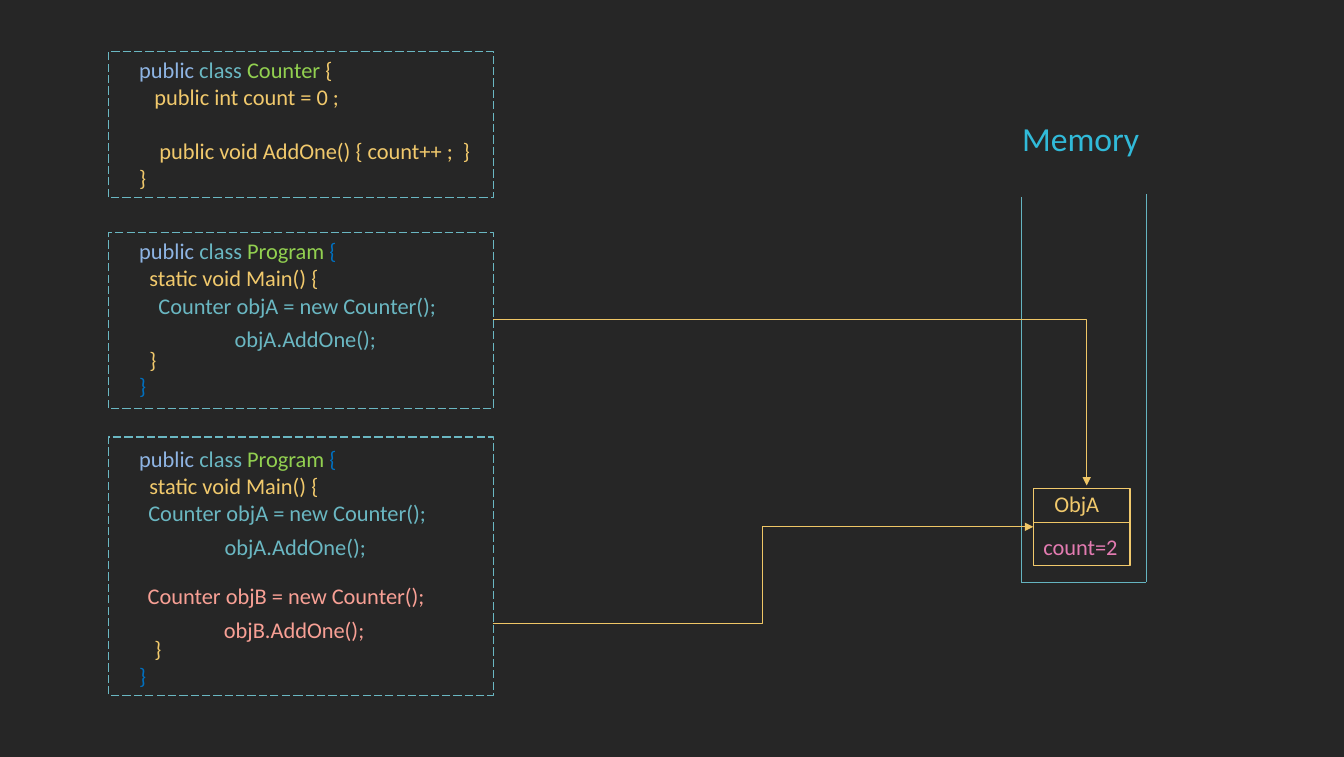
from dataclasses import dataclass

from lxml.etree import SubElement
from pptx import Presentation
from pptx.dml.color import RGBColor
from pptx.enum.dml import MSO_LINE_DASH_STYLE as Dash
from pptx.enum.shapes import MSO_CONNECTOR as Connector, MSO_SHAPE as Shape
from pptx.oxml.ns import qn
from pptx.util import Pt

BACKGROUND = "262626"
BLUE, TEAL, GREEN = "8EB4E3", "6AB7C2", "92D050"
YELLOW, GOLD, NAVY = "F1C96C", "EFC666", "0070C0"
SALMON, PINK, CYAN, MEMORY_EDGE = "F8A095", "E37BB1", "31BAD9", "65B4C0"
FONT = "Calibri"
CODE_SIZE = 16
CODE_LINE = 19.5
INSET = 3.6


@dataclass(frozen=True)
class Span:
    text: str
    color: str


@dataclass(frozen=True)
class Line:
    spans: tuple[Span, ...]
    skipped: int = 0


@dataclass(frozen=True)
class Label:
    left: float
    top: float
    width: float
    height: float
    lines: tuple[Line, ...]
    size: float = CODE_SIZE


@dataclass(frozen=True)
class Frame:
    left: float
    top: float
    width: float
    height: float
    color: str
    dashed: bool = False


@dataclass(frozen=True)
class Edge:
    start: tuple[float, float]
    end: tuple[float, float]
    color: str


def rgb(color: str) -> RGBColor:
    return RGBColor.from_string(color)


def code(text: str, color: str, skipped: int = 0) -> Line:
    return Line((Span(text, color),), skipped)


def class_header(name: str, brace: str) -> Line:
    return Line((Span("public ", BLUE), Span("class ", TEAL),
                 Span(f"{name} ", GREEN), Span("{", brace)))


def program(top: float, height: float, closing: str, skipped: int) -> Label:
    return Label(95.76, top, 242, height, (
        class_header("Program", NAVY),
        code("  static void Main() {", YELLOW),
        code(closing, YELLOW, skipped),
        code("}", NAVY),
    ))


def object_calls(name: str, left: float, top: float, color: str) -> tuple[Label, Label]:
    return (
        Label(left, top, 212, 24,
              (code(f" Counter {name} = new Counter();", color),)),
        Label(left + 58, top + 24, 112, 24, (code(f"{name}.AddOne();", color),)),
    )


def style_outline(line, color: str) -> None:
    line.color.rgb = rgb(color)
    line.width = Pt(0.75)


def draw_label(page, label: Label) -> None:
    box = page.shapes.add_textbox(Pt(label.left), Pt(label.top),
                                  Pt(label.width), Pt(label.height))
    frame = box.text_frame
    frame.word_wrap = True
    frame.margin_left = frame.margin_right = Pt(INSET)
    frame.margin_top = frame.margin_bottom = Pt(INSET)
    for index, line in enumerate(label.lines):
        para = frame.add_paragraph() if index else frame.paragraphs[0]
        if line.skipped:
            para.space_before = Pt(line.skipped * CODE_LINE)
        for piece in line.spans:
            span = para.add_run()
            span.text = piece.text
            span.font.name = FONT
            span.font.size = Pt(label.size)
            span.font.color.rgb = rgb(piece.color)


def draw_frame(page, frame: Frame) -> None:
    box = page.shapes.add_shape(Shape.RECTANGLE, Pt(frame.left), Pt(frame.top),
                                Pt(frame.width), Pt(frame.height))
    box.shadow.inherit = False
    box.fill.background()
    style_outline(box.line, frame.color)
    if frame.dashed:
        box.line.dash_style = Dash.LONG_DASH


def draw_edge(page, edge: Edge) -> None:
    connector = page.shapes.add_connector(
        Connector.STRAIGHT, *(Pt(value) for value in edge.start + edge.end))
    style_outline(connector.line, edge.color)
    SubElement(connector._element.spPr, qn("a:effectLst"))


def draw_arrow(page, points: list[tuple[float, float]]) -> None:
    start, *rest = [(Pt(x), Pt(y)) for x, y in points]
    builder = page.shapes.build_freeform(*start)
    builder.add_line_segments(rest, close=False)
    arrow = builder.convert_to_shape()
    arrow.shadow.inherit = False
    arrow.fill.background()
    style_outline(arrow.line, GOLD)
    SubElement(arrow.line._get_or_add_ln(), qn("a:tailEnd"), type="triangle")


FRAMES = [
    Frame(737.28, 348.48, 69.12, 54.72, YELLOW),
    *(Frame(77.76, top, 274.32, height, TEAL, dashed=True)
      for top, height in ((36.72, 104.4), (165.6, 126), (311.76, 184.32))),
]

MEMORY_LEFT, MEMORY_RIGHT, MEMORY_BOTTOM = 728.64, 817.92, 415.44
EDGES = [
    Edge((737.28, 372.96), (806.4, 372.96), GOLD),
    Edge((MEMORY_RIGHT, 138.24), (MEMORY_RIGHT, MEMORY_BOTTOM), MEMORY_EDGE),
    Edge((MEMORY_LEFT, 140.4), (MEMORY_LEFT, MEMORY_BOTTOM), MEMORY_EDGE),
    Edge((MEMORY_LEFT, MEMORY_BOTTOM), (MEMORY_RIGHT, MEMORY_BOTTOM), MEMORY_EDGE),
]

LABELS = [
    Label(95.76, 36.72, 246, 103.68, (
        class_header("Counter", YELLOW),
        code("   public int count = 0 ;", YELLOW),
        code("    public void AddOne() { count++ ;  }", YELLOW, skipped=1),
        code("}", YELLOW),
    )),
    program(165.6, 123.84, "  }", skipped=2),
    program(313.92, 183.6, "   }", skipped=5),
    *object_calls("objA", 105.84, 204.48, TEAL),
    *object_calls("objA", 98.64, 352.8, TEAL),
    *object_calls("objB", 98.2, 411.6, SALMON),
    Label(725.76, 80.64, 94, 30.96, (code("Memory", CYAN),), size=24),
    Label(748.8, 346.32, 42, 23.76, (code("ObjA", YELLOW),)),
    Label(740.88, 376.56, 73.44, 23.76, (code("count=2", PINK),)),
]

ARROWS = [
    [(352.08, 228.24), (775.44, 228.24), (775.44, 346.32)],
    [(352.08, 444.96), (544.32, 444.96), (544.32, 375.84), (737.28, 375.84)],
]


def main() -> None:
    deck = Presentation()
    deck.slide_width, deck.slide_height = Pt(959.04), Pt(540)
    page = deck.slides.add_slide(deck.slide_layouts[6])
    page.background.fill.solid()
    page.background.fill.fore_color.rgb = rgb(BACKGROUND)
    for frame in FRAMES:
        draw_frame(page, frame)
    for edge in EDGES:
        draw_edge(page, edge)
    for label in LABELS:
        draw_label(page, label)
    for points in ARROWS:
        draw_arrow(page, points)
    deck.save("out.pptx")


if __name__ == "__main__":
    main()
